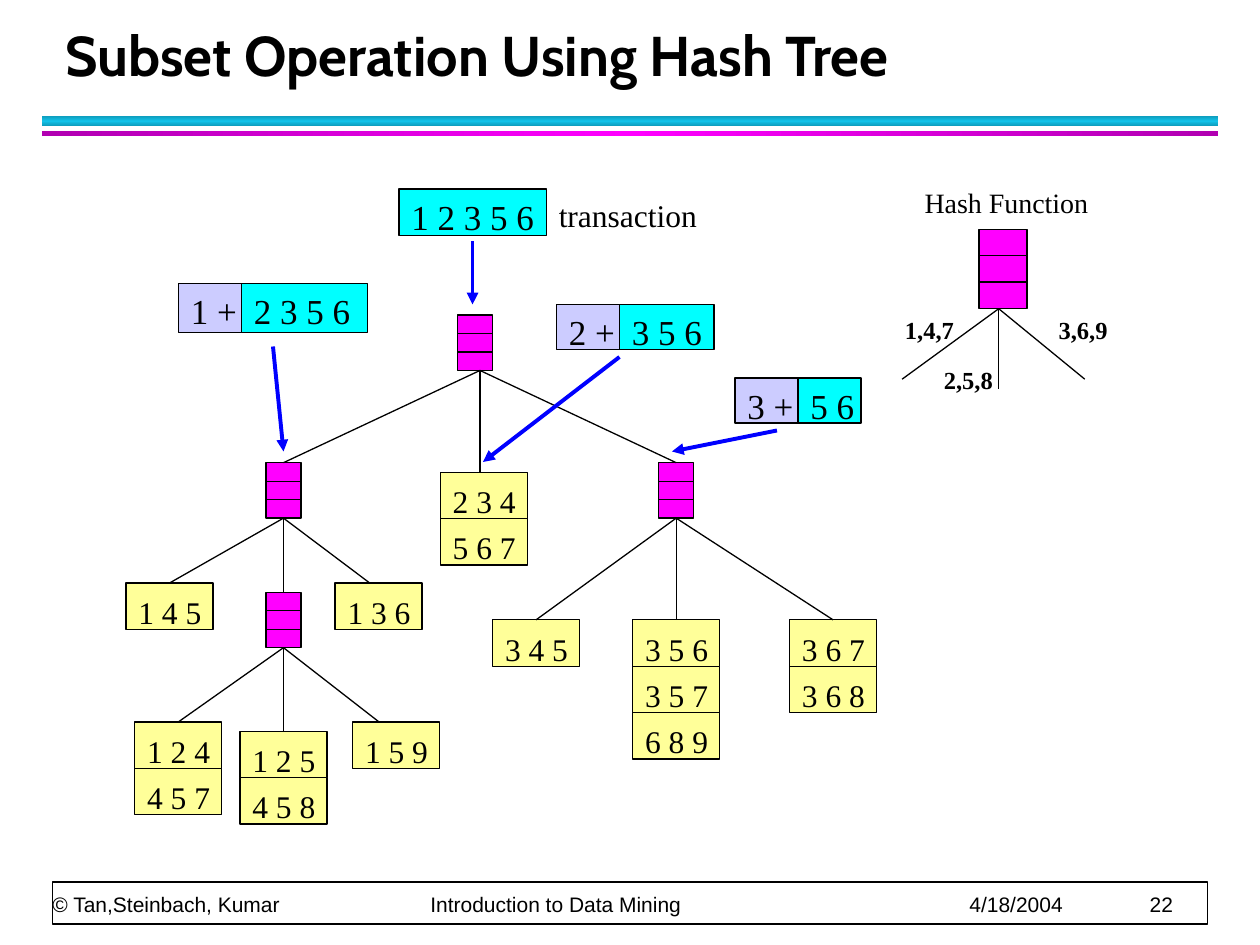
from copy import deepcopy

from pptx import Presentation
from pptx import util as u
from pptx.dml.color import RGBColor
from pptx.enum import shapes, text
from pptx.oxml.ns import qn

Pt = u.Pt
SERIF = "Times New Roman"
COLORS = {
    "black": "000000", "white": "FFFFFF", "node": "FF00FF", "leaf": "FFFF99",
    "items": "00FFFF", "prefix": "CCCCFF", "arrow": "0000FF",
    "teal": "0E9AB9", "cyan": "12C2E9", "purple": "B100B1", "magenta": "FF00FF",
}

# Content: all lengths in points
TITLE = "Subset Operation Using Hash Tree"
BARS = [(66.2, 6, "teal", "cyan", 90), (74.9, 2.8, "purple", "magenta", 0)]
FOOTER = ["© Tan,Steinbach, Kumar", "Introduction to Data Mining", "4/18/2004", "22"]
FOOTER_TABS = [216, 524, 627]

NODE_W, NODE_H = 20, 31.7
LEAF_W, LEAF_H = 49.7, 26.5
NODES = {  # name: left, top
    "root": (261.4, 180), "left": (152, 264.4),
    "right": (376.4, 264.4), "low": (152, 338.4),
}
LEAVES = [  # left, top, itemsets
    (72, 333.2, ["1 4 5"]),
    (191.5, 333.2, ["1 3 6"]),
    (201.5, 412.6, ["1 5 9"]),
    (77, 412.6, ["1 2 4", "4 5 7"]),
    (137.15, 417.8, ["1 2 5", "4 5 8"]),
    (251.6, 269.8, ["2 3 4", "5 6 7"]),
    (281.5, 354.2, ["3 4 5"]),
    (361.55, 354.2, ["3 5 6", "3 5 7", "6 8 9"]),
    (451.2, 354.2, ["3 6 7", "3 6 8"]),
]
EDGES = [  # parent, shift of start, [(child, shift of end)]
    ("root", 2.9, [("left", 0), ("2 3 4", -2.15), ("right", 0)]),
    ("left", 0, [("1 4 5", 0), ("low", 0), ("1 3 6", -5)]),
    ("right", 0, [("3 4 5", 0), ("3 5 6", 0), ("3 6 7", 0)]),
    ("low", 0, [("1 2 4", 0), ("1 2 5", 0), ("1 5 9", -9.7)]),
]
ITEM_BOXES = [  # left, top, height, [(text, width, colour)]
    (228, 108, 26.5, [("1 2 3 5 6", 84.2, "items")]),
    (102, 162, 28, [("1 +", 36, "prefix"), ("2 3 5 6", 72, "items")]),
    (318, 174, 25.7, [("2 +", 36, "prefix"), ("3 5 6", 54, "items")]),
    (420, 216, 25.7, [("3 +", 36, "prefix"), ("5 6", 36, "items")]),
]
ARROWS = [
    ((270, 138), (270, 174)), ((156, 198), (162, 258)),
    ((354, 204), (276, 264)), ((444, 246), (384, 258)),
]
HASH_NODE = (559.5, 131, 27.4, 45.3)
HASH_HUB = (570.7, 176.4)
HASH_ENDS = [(515.5, 216.7), (570.7, 222.5), (619.9, 216.7)]
LABELS = [  # text, left, top, width, height, size, bold
    ("Hash Function", 521.3, 102.2, 114, 26.6, 16, False),
    ("transaction", 312.2, 108, 110, 29, 18, False),
    ("1,4,7", 510, 176.4, 48, 24.5, 14, True),
    ("2,5,8", 532.2, 205, 48, 24.5, 14, True),
    ("3,6,9", 597.8, 176.4, 48, 24.5, 14, True),
]


def rgb(name):
    return RGBColor.from_string(COLORS[name])


def write(tf, words, size, font=SERIF, bold=False):
    p = tf.paragraphs[0]
    p.alignment = text.PP_ALIGN.LEFT
    r = p.add_run()
    r.text = words
    r.font.size, r.font.name, r.font.bold = Pt(size), font, bold
    r.font.color.rgb = rgb("black")
    return p


def margins(tf, left, top, right, bottom):
    tf.margin_left, tf.margin_top = Pt(left), Pt(top)
    tf.margin_right, tf.margin_bottom = Pt(right), Pt(bottom)


def rect(left, top, width, height, fill=None, weight=0.75):
    sp = s.shapes.add_shape(shapes.MSO_SHAPE.RECTANGLE,
                            Pt(left), Pt(top), Pt(width), Pt(height))
    sp.shadow.inherit = False
    if fill:
        sp.fill.solid()
        sp.fill.fore_color.rgb = rgb(fill)
        sp.line.color.rgb = rgb("black")
        sp.line.width = Pt(weight)
    else:
        sp.line.fill.background()
    return sp


def text_rect(left, top, width, height, fill, words, size, inset):
    sp = rect(left, top, width, height, fill)
    tf = sp.text_frame
    tf.word_wrap = True
    tf.vertical_anchor = text.MSO_ANCHOR.TOP
    margins(tf, 7.2, inset, 0, 0)
    write(tf, words, size)
    return sp


def line(start, end, color="black", weight=0.75, arrow=False):
    c = s.shapes.add_connector(shapes.MSO_CONNECTOR.STRAIGHT,
                               *(Pt(v) for v in (*start, *end)))
    c.line.color.rgb = rgb(color)
    c.line.width = Pt(weight)
    sp_pr = c._element.spPr
    if arrow:
        ln = sp_pr.find(qn("a:ln"))
        ln.append(ln.makeelement(qn("a:tailEnd"), {"type": "triangle"}))
    sp_pr.append(sp_pr.makeelement(qn("a:effectLst"), {}))
    return c


def hash_node(left, top, width, height):
    sp = rect(left, top, width, height, "node")
    for i in (1, 2):
        y = top + height * i / 3
        line((left, y), (left + width, y))
    return sp


def anchor(sp, shift, bottom=False):
    y = sp.top + (sp.height if bottom else 0)
    return (sp.left + sp.width / 2) / Pt(1) + shift, y / Pt(1)


prs = Presentation()
prs.slide_width, prs.slide_height = Pt(720), Pt(540)
s = prs.slides.add_slide(prs.slide_layouts[5])

# Title and gradient bars
title = s.shapes.title
title.left, title.top, title.width, title.height = Pt(30), Pt(12), Pt(652), Pt(42)
tf = title.text_frame
tf.word_wrap = True
tf.auto_size = text.MSO_AUTO_SIZE.NONE
tf.vertical_anchor = text.MSO_ANCHOR.BOTTOM
margins(tf, 7.2, 3.6, 7.2, 3.6)
write(tf, TITLE, 32, "Cabin", True).line_spacing = Pt(36)

for top, height, edge, middle, angle in BARS:
    bar = rect(24, top, 672, height)
    bar.fill.gradient()
    bar.fill.gradient_angle = angle
    stops = bar._element.spPr.find(".//" + qn("a:gsLst"))
    stops.append(deepcopy(stops[0]))
    for stop, color, pos in zip(bar.fill.gradient_stops, (edge, middle, edge), (0, 0.5, 1)):
        stop.color.rgb, stop.position = rgb(color), pos

# Footer
rect(30, 504, 660, 24, "white", 1)
tf = s.shapes.add_textbox(Pt(30), Pt(484), Pt(659), Pt(40)).text_frame
tf.word_wrap = True
tf.vertical_anchor = text.MSO_ANCHOR.BOTTOM
margins(tf, 0, 0, 0, 0)
p = write(tf, "\t".join(FOOTER), 12, "Arial")
p.line_spacing = Pt(20)
p_pr = p._p.get_or_add_pPr()
tabs = p_pr.makeelement(qn("a:tabLst"), {})
p_pr.append(tabs)
for pos in FOOTER_TABS:
    tabs.append(tabs.makeelement(qn("a:tab"), {"pos": str(Pt(pos)), "algn": "l"}))

# Hash tree: inner nodes, leaves, then edges
parts = {name: hash_node(x, y, NODE_W, NODE_H) for name, (x, y) in NODES.items()}
for left, top, itemsets in LEAVES:
    for i, items in enumerate(itemsets):
        parts[items] = text_rect(left, top + i * LEAF_H, LEAF_W, LEAF_H,
                                 "leaf", items, 18, 5.6)
for parent, start_shift, children in EDGES:
    for child, end_shift in children:
        c = line(anchor(parts[parent], start_shift, True), anchor(parts[child], end_shift))
        if not start_shift:
            c.begin_connect(parts[parent], 2)
        if not end_shift:
            c.end_connect(parts[child], 0)

# Transaction, its prefixes and the arrows
for left, top, height, cells in ITEM_BOXES:
    for words, width, fill in cells:
        text_rect(left, top, width, height, fill, words, 20, 3.6)
        left += width
for start, end in ARROWS:
    line(start, end, "arrow", 2.25, True)

# Hash function legend and labels
hash_node(*HASH_NODE)
for end in HASH_ENDS:
    line(HASH_HUB, end)
for words, left, top, width, height, size, bold in LABELS:
    tf = s.shapes.add_textbox(Pt(left), Pt(top), Pt(width), Pt(height)).text_frame
    tf.word_wrap = True
    margins(tf, 7.2, 3.8, 0, 0)
    write(tf, words, size, bold=bold)

prs.save("out.pptx")
